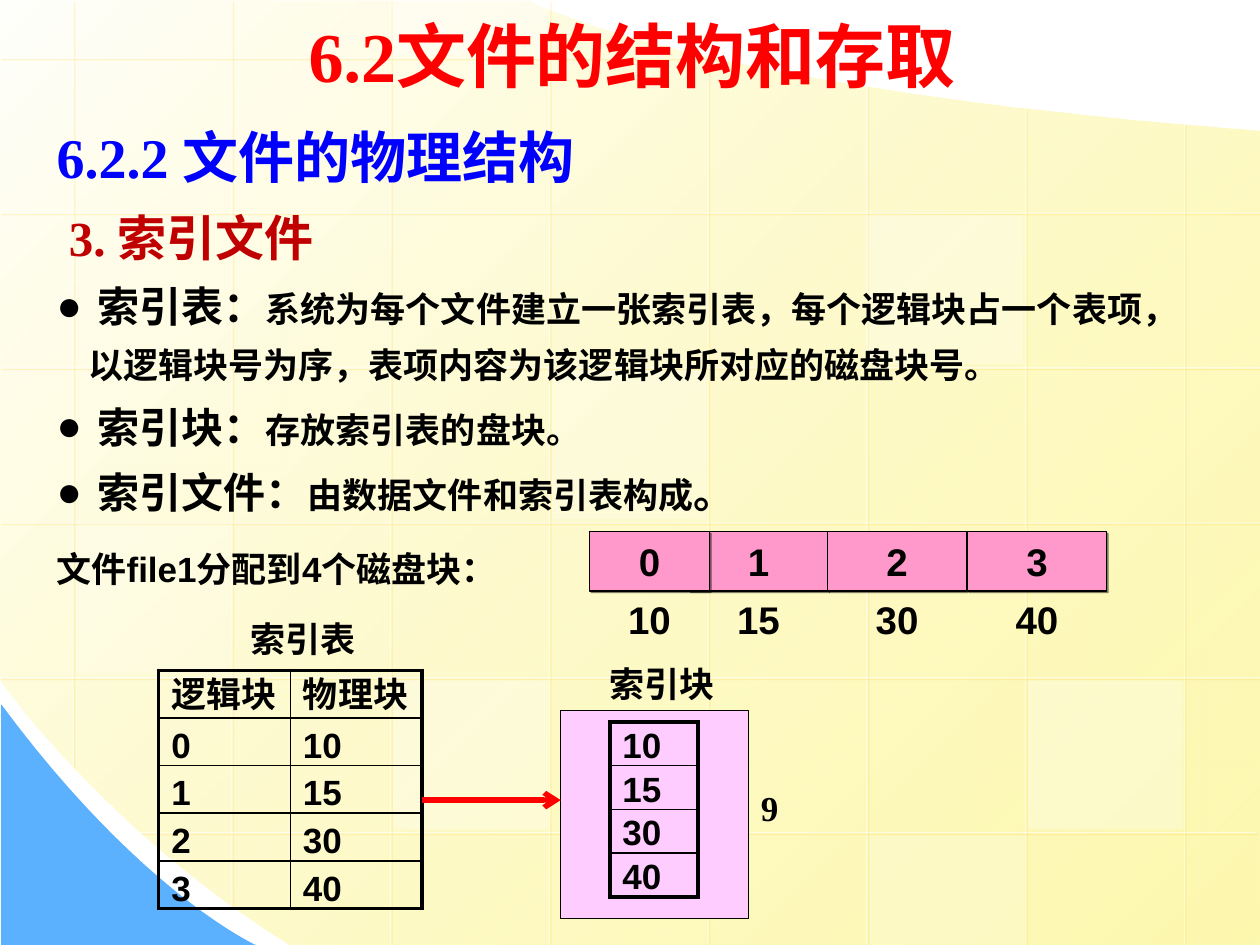
"""Build the slide on index files: headings, block strip, index table and index block."""
from lxml.etree import SubElement as Sub
from pptx import Presentation
from pptx.dml.color import RGBColor
from pptx.enum.shapes import MSO_CONNECTOR as Link, MSO_SHAPE as Kind
from pptx.enum.text import MSO_ANCHOR as Anchor, MSO_AUTO_SIZE as Auto, PP_ALIGN as Align
from pptx.oxml import parse_xml
from pptx.oxml.ns import nsdecls, qn
from pptx.util import Inches, Pt

hue = RGBColor.from_string
ROMAN, SANS = "Times New Roman", "Arial"


def fade(shape, part):
    """Set the opacity, in percent, of the last colour of a shape."""
    node = list(shape._element.spPr.iter(qn("a:srgbClr")))[-1]
    Sub(node, qn("a:alpha"), val=str(part * 1000))


def cast(shape, tone=None, part=0):
    """Give a shape a small offset shadow, or none at all."""
    list_ = Sub(shape._element.spPr, qn("a:effectLst"))
    if tone:
        shade = Sub(list_, qn("a:outerShdw"), dist="17780", dir="2700000", algn="ctr", rotWithShape="0")
        color = Sub(shade, qn("a:srgbClr"), val=tone)
        Sub(color, qn("a:alpha"), val=str(part * 1000))


deck = Presentation()
deck.slide_width, deck.slide_height = Inches(10), Inches(7.5)
slide = deck.slides.add_slide(deck.slide_layouts[1])
shapes = slide.shapes
title, body = slide.placeholders

field = [(10, 1.04), (10, 7.5), (2.3, 7.5), (0.86, 6.61, -0.01, 5.39, 0, 5.39),
         (0, 0), (4.21, 0.01), (4.21, 0.01, 5.37, 0.69, 10, 1.04)]
wave = [(0.01, 5.59), (0.01, 7.5), (2.03, 7.5), (2.03, 7.5, 1.12, 7.09, 0.01, 5.59)]
areas = []
for path_ in (field, wave):
    dots = []
    for step in path_:
        if len(step) == 2:
            dots.append(step)
            continue
        x, y = dots[-1]
        for i in range(1, 25):
            t = i / 24
            u = 1 - t
            dots.append(tuple(u**3 * a + 3 * u * u * t * b + 3 * u * t * t * c + t**3 * d
                              for a, b, c, d in zip((x, y), step[:2], step[2:4], step[4:])))
    dots = [(Inches(x), Inches(y)) for x, y in dots]
    pen = shapes.build_freeform(*dots[0])
    pen.add_line_segments(dots[1:], close=True)
    area = pen.convert_to_shape()
    area.line.fill.background()
    area.shadow.inherit = False
    areas.append(area)
glow = areas[0].fill
glow.gradient()
glow.gradient_angle = 315
for stop, tone, place in zip(glow.gradient_stops, ("FFFFFB", "FDF58D"), (0, 1)):
    stop.color.rgb = hue(tone)
    stop.position = place
fade(areas[0], 70)
areas[1].fill.solid()
areas[1].fill.fore_color.rgb = hue("5CB1FE")

tops = [0, 0, 0, 0, 0.43, 0.68, 0.85, 0.98]
ends = [6.09, 7.19] + [7.5] * 6
grid = [(0.58 + 1.26 * i, top, 0.58 + 1.26 * i, end) for i, (top, end) in enumerate(zip(tops, ends))]
spans = [(0, 5.68)] + [(0, 10)] * 4 + [(1.11, 9.97)]
grid += [(right, 0.46 + 1.23 * i, left, 0.46 + 1.23 * i) for i, (left, right) in enumerate(spans)]
for ray in grid:
    line = shapes.add_connector(Link.STRAIGHT, *map(Inches, ray))
    line.line.color.rgb = hue("FFFFFF")
    line.line.width = Pt(0.75)
    fade(line, 50)
    cast(line, "FFCC00", 34)

for x, y, high, part in [(4.38, 2.94, 1.18, 25), (8.16, 5.4, 1.18, 30), (0.6, 4.16, 1.18, 20),
                         (6.9, 6.63, 0.87, 20), (3.11, 0, 0.44, 40), (3.12, 5.4, 1.18, 30),
                         (6.89, 1.71, 1.18, 30)]:
    tile = shapes.add_shape(Kind.RECTANGLE, Inches(x), Inches(y), Inches(1.23), Inches(high))
    tile.fill.solid()
    tile.fill.fore_color.rgb = hue("FFFFFF")
    tile.line.fill.background()
    tile.shadow.inherit = False
    fade(tile, part)

for holder, spot in ((body, (0.35, 0.76, 9.29, 3.48)), (title, (2.35, 0.05, 6.04, 0.77))):
    shapes._spTree.append(holder._element)
    holder.left, holder.top, holder.width, holder.height = map(Inches, spot)
    holder.text_frame.auto_size = Auto.NONE
    holder.text_frame.vertical_anchor = Anchor.TOP
head = title.text_frame
head.text = "6.2文件的结构和存取"
head.paragraphs[0].alignment = Align.LEFT
font = head.paragraphs[0].runs[0].font
font.name, font.size, font.bold = ROMAN, Pt(40), True
font.color.rgb = hue("FF0000")

lines = [
    (False, ROMAN, "0000FF", [("6.2.2 文件的物理结构", 32)]),
    (False, ROMAN, "C00000", [(" 3. 索引文件", 28)]),
    (True, SANS, "000000", [(" 索引表：", 24), ("系统为每个文件建立一张索引表，每个逻辑块占一个表项，"
                            "以逻辑块号为序，表项内容为该逻辑块所对应的磁盘块号。", 20)]),
    (True, SANS, "000000", [(" 索引块：", 24), ("存放索引表的盘块。", 20)]),
    (True, SANS, "000000", [(" 索引文件：", 24), ("由数据文件和索引表构成", 20), ("。", 24)]),
]
for i, (dot, face, tone, parts) in enumerate(lines):
    para = body.text_frame.paragraphs[0] if i == 0 else body.text_frame.add_paragraph()
    prop = para._p.get_or_add_pPr()
    prop.set("marL", str(Inches(0.25 if dot else 0)))
    prop.set("indent", str(Inches(-0.25 if dot else 0)))
    if dot:
        Sub(prop, qn("a:buChar"), char="●")
    else:
        Sub(prop, qn("a:buNone"))
    para.line_spacing = 1.3
    para.space_before = Pt(0)
    for text, size in parts:
        run = para.add_run()
        run.text = text
        run.font.name, run.font.size, run.font.bold = face, Pt(size), True
        run.font.color.rgb = hue(tone)

strip = [("1", "15", 5.47, 1.1), ("2", "30", 6.57, 1.1), ("3", "40", 7.68, 1.1), ("0", "10", 4.68, 0.95)]
labels = [("文件file1分配到4个磁盘块：", 0.35, 4.3, 4.2, 0.44, 20, SANS, None),
          ("索引表", 1.89, 4.85, 1.09, 0.43, 20, ROMAN, None),
          ("9", 5.94, 6.19, 0.7, 0.44, 20, ROMAN, None),
          ("", 4.45, 5.64, 1.49, 1.65, 20, ROMAN, "FFCCFF"),
          ("索引块", 4.74, 5.21, 1.19, 0.43, 20, ROMAN, None)]
for block, disk, x, wide in strip:
    labels.append((block, x, 4.22, wide, 0.47, 22, SANS, "FF99CC"))
    labels.append((disk, x, 4.69, wide, 0.44, 22, SANS, None))
for text, x, y, wide, high, size, face, tone in labels:
    spot = map(Inches, (x, y, wide, high))
    if tone:
        box = shapes.add_shape(Kind.RECTANGLE, *spot)
        box.fill.solid()
        box.fill.fore_color.rgb = hue(tone)
        box.line.color.rgb = hue("000000")
        box.line.width = Pt(0.75)
        if text:
            cast(box, "000000", 50)
        else:
            box.shadow.inherit = False
    else:
        box = shapes.add_textbox(*spot)
    if text:
        frame = box.text_frame
        frame.word_wrap = True
        frame.text = text
        mid = size == 22
        frame.vertical_anchor = Anchor.MIDDLE if mid else Anchor.TOP
        frame.paragraphs[0].alignment = Align.CENTER if mid else Align.LEFT
        font = frame.paragraphs[0].runs[0].font
        font.name, font.size, font.bold = face, Pt(size), True
        font.color.rgb = hue("000000")

pairs = [("逻辑块", "物理块"), ("0", "10"), ("1", "15"), ("2", "30"), ("3", "40")]
disks = [(disk,) for _, disk in pairs[1:]]
for data, x, y, wide, high in ((pairs, 1.26, 5.32, 2.09, 1.89), (disks, 4.84, 5.73, 0.7, 1.39)):
    rows, cols = len(data), len(data[0])
    table = shapes.add_table(rows, cols, *map(Inches, (x, y, wide, high))).table
    table.first_row = table.horz_banding = False
    for r, row in enumerate(data):
        for c, text in enumerate(row):
            cell = table.cell(r, c)
            cell.text = text
            cell.fill.background()
            cell.margin_top = cell.margin_bottom = 0
            cell.vertical_anchor = Anchor.BOTTOM
            para = cell.text_frame.paragraphs[0]
            para.line_spacing = Pt(22)
            font = para.runs[0].font
            font.name, font.size, font.bold = SANS, Pt(20), True
            font.color.rgb = hue("000000")
            edges = {"L": c == 0, "R": c == cols - 1, "T": r == 0, "B": r == rows - 1}
            for i, (side, outer) in enumerate(edges.items()):
                rule = parse_xml(f'<a:ln{side} {nsdecls("a")} w="{Pt(2.25 if outer else 1)}"><a:solidFill>'
                                 f'<a:srgbClr val="000000"/></a:solidFill></a:ln{side}>')
                cell._tc.get_or_add_tcPr().insert(i, rule)

arrow = shapes.add_connector(Link.STRAIGHT, *map(Inches, (3.35, 6.35, 4.45, 6.35)))
arrow.line.color.rgb = hue("FF0000")
arrow.line.width = Pt(3)
Sub(arrow.line._get_or_add_ln(), qn("a:tailEnd"), type="arrow")
cast(arrow)

deck.save("out.pptx")
